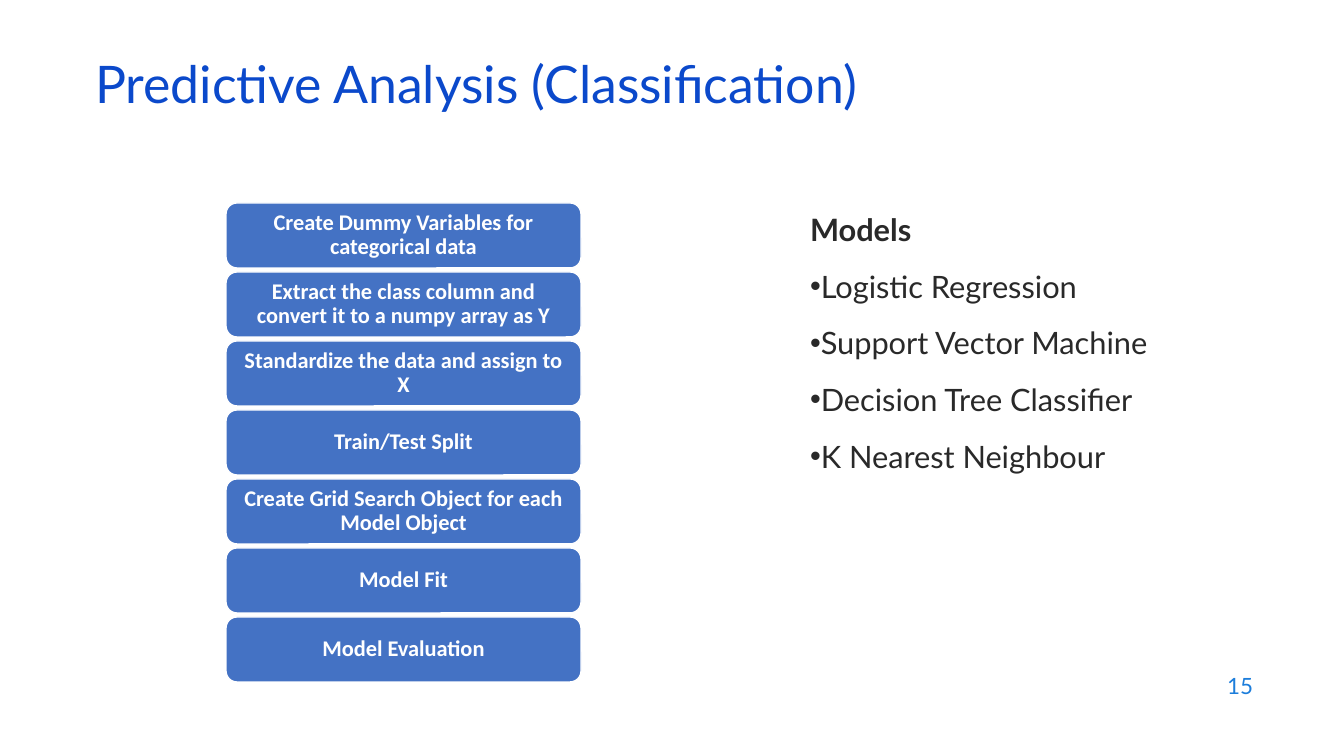
from lxml.etree import SubElement
from pptx import Presentation
from pptx.dml.color import RGBColor
from pptx.enum.shapes import MSO_SHAPE
from pptx.enum.text import MSO_ANCHOR, MSO_AUTO_SIZE, PP_ALIGN
from pptx.oxml.ns import qn
from pptx.util import Emu, Pt

PX = 9071  # EMU per px, 100.8 px to the inch
STEPS = [
    "Create Dummy Variables for categorical data",
    "Extract the class column and convert it to a numpy array as Y",
    "Standardize the data and assign to X",
    "Train/Test Split",
    "Create Grid Search Object for each Model Object",
    "Model Fit",
    "Model Evaluation",
]
MODELS = [
    "Logistic Regression",
    "Support Vector Machine",
    "Decision Tree Classifier",
    "K Nearest Neighbour",
]


def px(length):
    return Emu(length * PX)


def rgb(hex_color):
    return RGBColor.from_string(hex_color)


def place(placeholder, left, top, width, height):
    placeholder.left, placeholder.top = px(left), px(top)
    placeholder.width, placeholder.height = px(width), px(height)


def add_text(paragraph, text, size, color, font="Lato", bold=False):
    run = paragraph.add_run()
    run.text = text
    run.font.size = Pt(size)
    run.font.name = font
    run.font.bold = bold
    run.font.color.rgb = rgb(color)


def set_bullet(paragraph, char=None):
    """Put a bullet flush with the text, or none."""
    properties = paragraph._p.get_or_add_pPr()
    properties.set("marL", "0")
    properties.set("indent", "0")
    if char:
        SubElement(properties, qn("a:buFont")).set("typeface", "Arial")
        SubElement(properties, qn("a:buChar")).set("char", char)
    else:
        SubElement(properties, qn("a:buNone"))


def fill_title(title, text):
    place(title, 85, 59, 1159, 60)
    frame = title.text_frame
    frame.auto_size = MSO_AUTO_SIZE.NONE
    frame.vertical_anchor = MSO_ANCHOR.MIDDLE
    heading = frame.paragraphs[0]
    heading.alignment = PP_ALIGN.LEFT
    heading.line_spacing = 0.8
    add_text(heading, text, 37, "0B49CB")


def fill_model_list(body):
    place(body, 800, 206, 497, 328)
    frame = body.text_frame
    frame.auto_size = MSO_AUTO_SIZE.NONE
    heading = frame.paragraphs[0]
    heading.space_before = Pt(0)
    set_bullet(heading)
    add_text(heading, "Models", 22, "292929", bold=True)
    for model in MODELS:
        item = frame.add_paragraph()
        item.space_before = Pt(14)
        set_bullet(item, "•")
        add_text(item, model, 22, "292929")


def add_step(slide, top, text):
    step = slide.shapes.add_shape(
        MSO_SHAPE.ROUNDED_RECTANGLE, px(226), px(top), px(355), px(65))
    step.shadow.inherit = False
    step.fill.solid()
    step.fill.fore_color.rgb = rgb("4472C4")
    step.line.color.rgb = rgb("FFFFFF")
    step.line.width = Pt(1)
    frame = step.text_frame
    frame.word_wrap = True
    frame.vertical_anchor = MSO_ANCHOR.MIDDLE
    frame.margin_left = frame.margin_right = px(10)
    frame.margin_top = frame.margin_bottom = px(6)
    label = frame.paragraphs[0]
    label.alignment = PP_ALIGN.CENTER
    label.line_spacing = 0.9
    add_text(label, text, 16, "FFFFFF", "Calibri", bold=True)


def add_page_number(slide, number):
    box = slide.shapes.add_textbox(px(961), px(664), px(302), px(44))
    frame = box.text_frame
    frame.word_wrap = True
    frame.vertical_anchor = MSO_ANCHOR.MIDDLE
    line = frame.paragraphs[0]
    line.alignment = PP_ALIGN.RIGHT
    add_text(line, number, 16, "1C7DDB")


def main():
    deck = Presentation()
    deck.slide_width, deck.slide_height = px(1344), px(756)
    slide = deck.slides.add_slide(deck.slide_layouts[1])
    fill_title(slide.shapes.title, "Predictive Analysis (Classification)")
    fill_model_list(slide.placeholders[1])
    for index, text in enumerate(STEPS):
        add_step(slide, 203 + 69 * index, text)
    add_page_number(slide, "15")
    deck.save("out.pptx")


if __name__ == "__main__":
    main()
